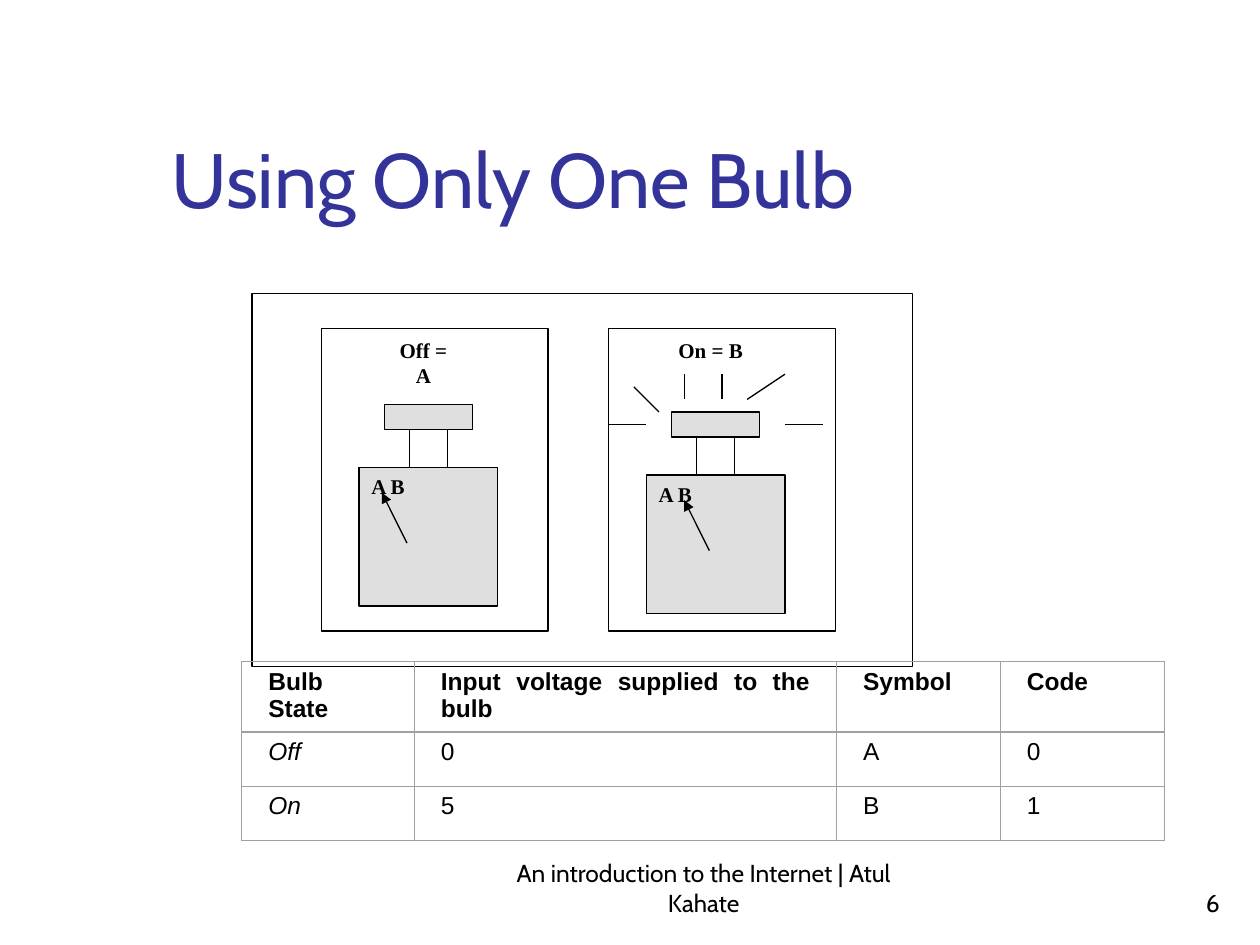
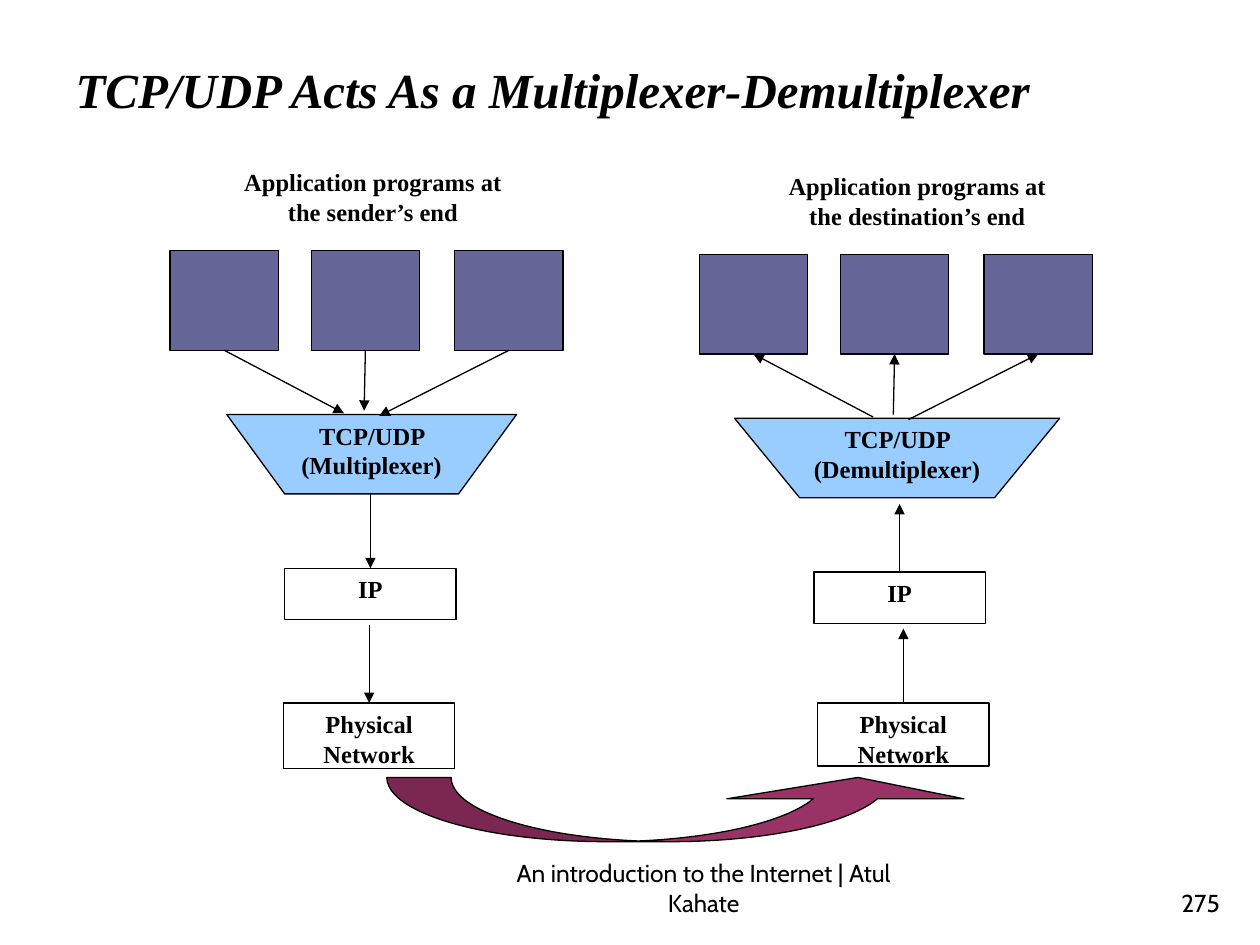
from lxml import etree
from pptx import Presentation
from pptx.dml.color import RGBColor
from pptx.enum.shapes import MSO_CONNECTOR, MSO_SHAPE
from pptx.enum.text import MSO_ANCHOR, MSO_AUTO_SIZE, PP_ALIGN
from pptx.oxml.ns import qn
from pptx.util import Inches, Pt

BLACK = RGBColor(0x00, 0x00, 0x00)
WHITE = RGBColor(0xFF, 0xFF, 0xFF)
TITLE_BLUE = RGBColor(0x33, 0x33, 0x99)
SILVER = RGBColor(0xC0, 0xC0, 0xC0)
BORDER_GREY = RGBColor(0xA0, 0xA0, 0xA0)
PROGRAM_BLUE = RGBColor(0x66, 0x66, 0x99)
TRANSPORT_BLUE = RGBColor(0x99, 0xCC, 0xFF)
NETWORK_PLUM = RGBColor(0x99, 0x33, 0x66)

LINE_WIDTH = Pt(0.75)
FOOTER = {"name": "Cabin", "size": Pt(14)}
LABEL = {"name": "Times New Roman", "size": Pt(14), "bold": True}
SMALL_LABEL = {**LABEL, "size": Pt(12)}
CELL = {"name": "Arial", "size": Pt(14), "bold": False, "italic": False}
TITLE = {"name": "Cabin", "size": Pt(44)}
ITALIC_TITLE = {**LABEL, "size": Pt(28), "italic": True}


def write(frame, text, style, align=PP_ALIGN.LEFT, color=BLACK):
    """Put one formatted paragraph into a text frame or cell frame."""
    para = frame.paragraphs[0]
    para.alignment = align
    span = para.add_run()
    span.text = text
    for name, value in style.items():
        setattr(span.font, name, value)
    span.font.color.rgb = color


def set_frame(frame, anchor):
    """Give a text frame wrapping, the usual insets and an anchor."""
    settings = {
        "word_wrap": True,
        "auto_size": MSO_AUTO_SIZE.NONE,
        "vertical_anchor": anchor,
        "margin_left": Inches(0.1),
        "margin_right": Inches(0.1),
        "margin_top": Inches(0.05),
        "margin_bottom": Inches(0.05),
    }
    for name, value in settings.items():
        setattr(frame, name, value)


def add_box(page, bounds, fill=WHITE, text="", style=LABEL, align=PP_ALIGN.CENTER,
            kind=MSO_SHAPE.RECTANGLE, outlined=True, opacity=100):
    """Add a preset shape with its fill, outline and optional label."""
    box = page.shapes.add_shape(kind, *map(Inches, bounds))
    box.shadow.inherit = False
    box.fill.solid()
    box.fill.fore_color.rgb = fill
    if opacity < 100:
        color = box.fill._xPr.find(f".//{qn('a:srgbClr')}")
        etree.SubElement(color, qn("a:alpha"), val=str(opacity * 1000))
    if outlined:
        box.line.color.rgb = BLACK
        box.line.width = LINE_WIDTH
    else:
        box.line.fill.background()
    if text:
        set_frame(box.text_frame, MSO_ANCHOR.TOP)
        write(box.text_frame, text, style, align)
    return box


def add_line(page, start, end, arrow=None):
    """Add a straight line; arrow is headEnd, tailEnd or None."""
    line = page.shapes.add_connector(MSO_CONNECTOR.STRAIGHT, *map(Inches, (*start, *end)))
    line.line.color.rgb = BLACK
    line.line.width = LINE_WIDTH
    if arrow:
        etree.SubElement(line.line._get_or_add_ln(), qn(f"a:{arrow}"), type="triangle")
    etree.SubElement(line._element.spPr, qn("a:effectLst"))
    return line


def add_page(deck, title, bounds, style, color, anchor, number):
    """Add a title-only slide with its title, footer and slide number."""
    page = deck.slides.add_slide(deck.slide_layouts[5])
    heading = page.shapes.title
    heading.left, heading.top, heading.width, heading.height = map(Inches, bounds)
    set_frame(heading.text_frame, anchor)
    write(heading.text_frame, title, style, color=color)
    footers = (
        (4, 3.17, "An introduction to the Internet | Atul Kahate", PP_ALIGN.CENTER),
        (7.7, 2.08, number, PP_ALIGN.RIGHT),
    )
    for left, width, text, align in footers:
        box = page.shapes.add_textbox(*map(Inches, (left, 6.83, width, 0.5)))
        set_frame(box.text_frame, MSO_ANCHOR.BOTTOM)
        write(box.text_frame, text, FOOTER, align)
    return page


def draw_bulb(page, left, top, caption, drop=0, pointer=0.48, lit=False):
    """Draw a bulb panel whose pointer shows the current symbol."""
    add_box(page, (left, top, 1.8, 2.4))
    add_box(page, (left + 0.3, top + 1.1 + drop, 1.1, 1.1), SILVER, "A B",
            SMALL_LABEL, PP_ALIGN.LEFT, opacity=50)
    add_box(page, (left + 0.7, top + 0.8 + drop, 0.3, 0.3))
    add_box(page, (left + 0.5, top + 0.6 + drop, 0.7, 0.2), SILVER, opacity=50)
    if lit:
        rays = (
            (0.2, 0.46, 0.4, 0.66), (0.6, 0.36, 0.6, 0.56), (0.9, 0.36, 0.9, 0.56),
            (1.4, 0.36, 1.1, 0.56), (1.4, 0.76, 1.7, 0.76), (0, 0.76, 0.3, 0.76),
        )
        for x1, y1, x2, y2 in rays:
            add_line(page, (left + x1, top + y1), (left + x2, top + y2))
    tip = (left + pointer, top + 1.3 + drop)
    add_line(page, (tip[0] + 0.2, tip[1] + 0.4), tip, "tailEnd")
    add_box(page, (left + 0.45, top + 0.02, 0.72, 0.3), text=caption,
            style=SMALL_LABEL, outlined=False)


def border_cell(cell):
    """Draw a thin grey border on all sides of a table cell."""
    properties = cell._tc.get_or_add_tcPr()
    for index, side in enumerate(("lnL", "lnR", "lnT", "lnB")):
        edge = etree.Element(qn(f"a:{side}"), w=str(LINE_WIDTH))
        fill = etree.SubElement(edge, qn("a:solidFill"))
        etree.SubElement(fill, qn("a:srgbClr"), val=str(BORDER_GREY))
        properties.insert(index, edge)


def draw_code_table(page, left, top):
    """Draw the table of bulb states, voltages, symbols and codes."""
    rows = (
        ("Bulb State", "Input voltage supplied to the bulb", "Symbol", "Code"),
        ("Off", "0", "A", "0"),
        ("On", "5", "B", "1"),
    )
    widths = (1.37, 3.35, 1.3, 1.3)
    heights = (0.56, 0.43, 0.43)
    bounds = (left, top, sum(widths), sum(heights))
    table = page.shapes.add_table(len(rows), len(widths), *map(Inches, bounds)).table
    table.first_row = table.horz_banding = False
    for column, width in zip(table.columns, widths):
        column.width = Inches(width)
    for row, height in zip(table.rows, heights):
        row.height = Inches(height)
    for row_index, values in enumerate(rows):
        for column_index, value in enumerate(values):
            cell = table.cell(row_index, column_index)
            cell.fill.background()
            cell.margin_left = cell.margin_right = Inches(0.21)
            header = row_index == 0
            style = {**CELL, "bold": header, "italic": not header and column_index == 0}
            write(cell.text_frame, value, style, PP_ALIGN.JUSTIFY)
            border_cell(cell)


def draw_stack(page, left, top, caption, caption_left, role, role_left, role_width,
               network_left, network_height, riser, arrow):
    """Draw the programs, transport, IP and network layers of one host."""
    add_box(page, (left + caption_left, top - 0.71, 2.42, 0.48), text=caption, outlined=False)
    programs = [add_box(page, (left + offset, top, 0.86, 0.79), PROGRAM_BLUE)
                for offset in (0, 1.12, 2.26)]
    add_box(page, (left + role_left, top + 1.3, role_width, 0.63), TRANSPORT_BLUE,
            f"TCP/UDP ({role})", kind=MSO_SHAPE.FLOWCHART_MANUAL_OPERATION)
    protocol = add_box(page, (left + 0.91, top + 2.52, 1.36, 0.41), text="IP")
    network = add_box(page, (left + network_left, 5.58, 1.36, network_height),
                      text="Physical Network")
    for program, x, y in zip(programs, (1.38, 1.54, 1.66), (1.29, 1.27, 1.31)):
        line = add_line(page, (left + x, top), (left + x, top + y), arrow)
        line.begin_connect(program, 2)
    for layer, x, y in ((protocol, 1.59, riser), (network, network_left + 0.68, 2.97)):
        line = add_line(page, (left + x, top + y), (left + x, top + y + 0.5), arrow)
        line.end_connect(layer, 0)


def build_bulb_page(deck):
    """Build the slide about coding with a single bulb."""
    page = add_page(deck, "Using Only One Bulb", (1.26, 0.23, 8.52, 1.6), TITLE,
                    TITLE_BLUE, MSO_ANCHOR.BOTTOM, "6")
    add_box(page, (2, 2.33, 5.24, 2.96))
    draw_bulb(page, 2.55, 2.61, "Off = A")
    draw_bulb(page, 4.83, 2.61, "On = B", drop=0.06, pointer=0.6, lit=True)
    draw_code_table(page, 1.92, 5.25)


def build_multiplexer_page(deck):
    """Build the slide about multiplexing between two hosts."""
    page = add_page(deck, "TCP/UDP Acts As a Multiplexer-Demultiplexer",
                    (0.5, 0.42, 8.17, 0.57), ITALIC_TITLE, BLACK, MSO_ANCHOR.TOP, "275")
    draw_stack(page, 1.35, 1.99, "Application programs at the sender’s end", 0.4,
               "Multiplexer", 0.45, 2.3, 0.9, 0.52, 1.92, "tailEnd")
    draw_stack(page, 5.55, 2.02, "Application programs at the destination’s end", 0.52,
               "Demultiplexer", 0.28, 2.58, 0.94, 0.5, 1.98, "headEnd")
    transfer = add_box(page, (3.07, 6.17, 4.68, 0.51), NETWORK_PLUM,
                       kind=MSO_SHAPE.CURVED_UP_ARROW)
    for index, value in enumerate((1.846, 3.692, 0.333)):
        transfer.adjustments[index] = value


def main():
    """Build and save the presentation."""
    deck = Presentation()
    deck.slide_width, deck.slide_height = Inches(10), Inches(7.5)
    build_bulb_page(deck)
    build_multiplexer_page(deck)
    deck.save("out.pptx")


if __name__ == "__main__":
    main()
